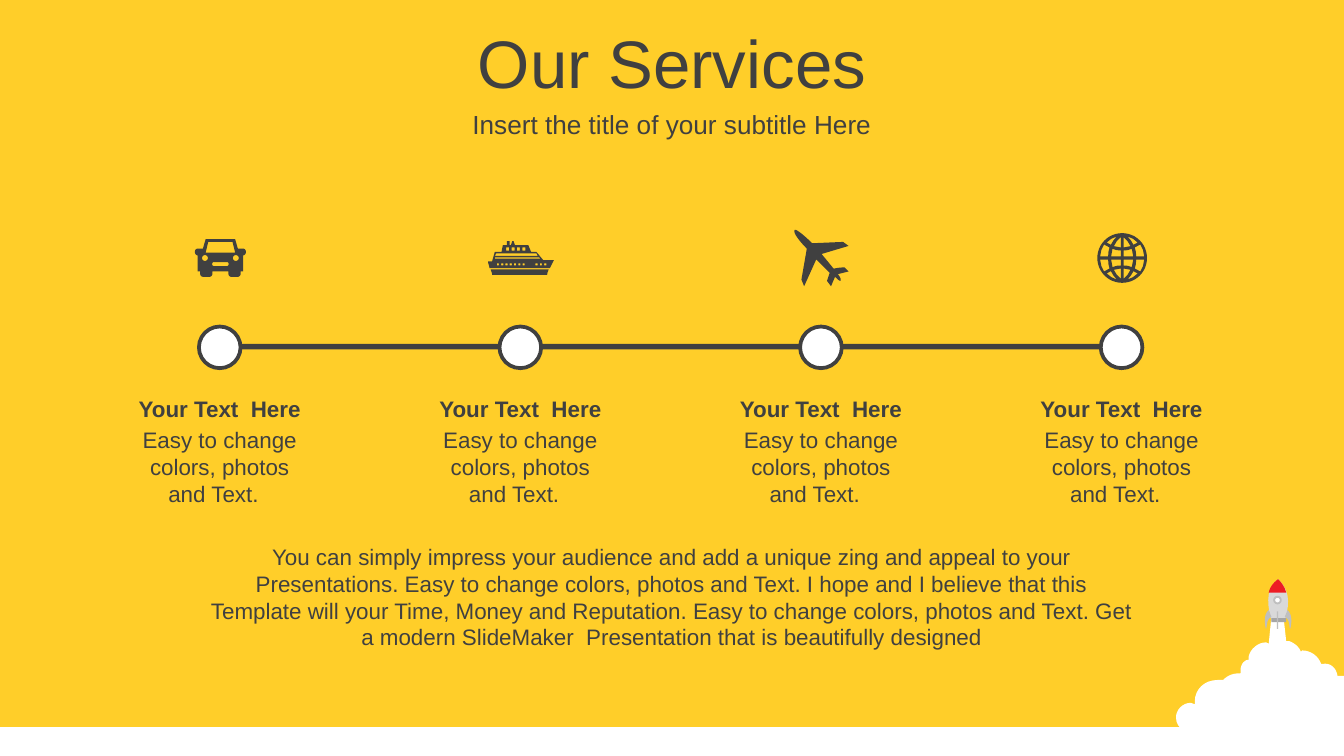
import math

from pptx import Presentation
from pptx.dml.color import RGBColor
from pptx.enum.shapes import MSO_SHAPE
from pptx.enum.text import MSO_ANCHOR, MSO_AUTO_SIZE, PP_ALIGN
from pptx.util import Inches, Pt

OVAL, RECTANGLE = MSO_SHAPE.OVAL, MSO_SHAPE.RECTANGLE
CENTER = PP_ALIGN.CENTER
MIDDLE, TOP = MSO_ANCHOR.MIDDLE, MSO_ANCHOR.TOP
NO_AUTOFIT = MSO_AUTO_SIZE.NONE

YELLOW = RGBColor(0xFF, 0xCE, 0x29)
DARK = RGBColor(0x40, 0x40, 0x40)
WHITE = RGBColor(0xFF, 0xFF, 0xFF)
LIGHT_GRAY = RGBColor(0xD9, 0xD9, 0xD9)
SILVER = RGBColor(0xBF, 0xBF, 0xBF)
GRAY = RGBColor(0xA6, 0xA6, 0xA6)
RED = RGBColor(0xED, 0x1C, 0x24)

SLIDE_WIDTH = 10
SLIDE_HEIGHT = SLIDE_WIDTH * 9 / 16
UNIT = 0.01
CURVE_STEPS = 8

CLOUD = [
    (71, 0), (80, 0), (82, 18), (84, 18), (87, 19, 90, 21, 92, 24), (93, 26), (94, 25),
    (100, 25, 106, 29, 108, 35), (109, 35), (115, 34, 119, 38, 120, 43), (120, 44),
    (125, 44), (125, 101), (119, 101, 115, 100, 112, 98), (108, 100, 100, 102, 96, 96),
    (92, 100, 82, 102, 76, 96), (64, 105, 46, 104, 38, 92),
    (30, 96, 19, 93, 18, 86), (18, 84), (17, 85), (9, 89, 0, 83, 0, 75),
    (0, 69, 5, 64, 11, 64), (14, 65), (14, 63), (14, 54, 21, 47, 31, 47), (35, 47),
    (39, 43, 43, 42, 48, 42), (48, 40), (48, 36, 50, 33, 53, 32), (54, 32), (54, 30),
    (55, 24, 61, 19, 67, 19), (69, 20),
]
FUSELAGE = [(5, 31), (3, 22, -1, 9, 10, 0), (21, 10, 17, 23, 15, 31)]
NOSE = [(10, 0), (13, 3, 15, 6, 16, 10), (3, 10), (4, 6, 6, 3, 10, 0)]
FIN = [(3, 23), (5, 28), (1, 30, 2, 35, 1, 37), (0, 34, -1, 26, 3, 23)]


def rectangle(left, top, width, height):
    right, bottom = left + width, top + height
    return [(left, top), (right, top), (right, bottom), (left, bottom)]


def circle(center_x, center_y, radius, steps=48):
    angles = [2 * math.pi * step / steps for step in range(steps)]
    return [(center_x + radius * math.cos(a), center_y + radius * math.sin(a)) for a in angles]


def flip(contour, size, axis):
    return [tuple(size - value if index % 2 == axis else value
                  for index, value in enumerate(segment)) for segment in contour]


def car_icon():
    body = [
        (8, 0), (30, 0), (32, 7), (36, 7), (37, 7, 38, 8, 38, 9.5), (38, 11, 37, 12, 36, 12),
        (36, 24), (34, 24), (34, 26), (34, 27, 33, 28, 32, 28), (27, 28),
        (26, 28, 25, 27, 25, 26), (25, 24), (13, 24), (13, 26), (13, 27, 12, 28, 11, 28),
        (6, 28), (5, 28, 4, 27, 4, 26), (4, 24), (2, 24), (2, 12),
        (1, 12, 0, 11, 0, 9.5), (0, 8, 1, 7, 2, 7), (6, 7),
    ]
    windshield = [(10, 2), (28, 2), (30, 10), (8, 10)]
    grille = [(14, 17), (24, 17), (25.5, 17, 25.5, 20, 24, 20), (14, 20), (12.5, 20, 12.5, 17, 14, 17)]
    return 38, 28, [body, windshield, grille, circle(7.5, 14, 2.2), circle(30.5, 14, 2.2)]


def ship_icon():
    deck = [
        (18, 0), (19, 0), (20, 3), (30, 3), (32, 8), (36, 8), (41, 14), (49, 14),
        (48, 16, 47, 18, 46, 20), (1, 20), (1, 18, 0, 17, 0, 15), (3, 15), (5, 8), (10, 8),
        (11, 3), (14, 3), (14, 0), (16, 0), (16, 3), (17, 3),
    ]
    keel = [(2, 21), (45, 21), (45, 22, 44, 23, 44, 25), (3, 25), (3, 23, 2, 22, 2, 21)]
    stripes = [[(5, 12), (38, 12), (39, 13), (5, 13)], [(6, 9), (36, 9), (37, 11), (5, 11)]]
    cabins = [rectangle(13.5 + 4 * index, 4.5, 2.2, 2.5) for index in range(4)]
    portholes = [rectangle(6.5 + 3.2 * index, 16.5, 1.6, 1.5) for index in (0, 1, 2, 3, 4, 5, 6, 9, 10, 11)]
    return 49, 25, [deck, keel, *stripes, *cabins, *portholes]


def plane_icon():
    outline = [
        (41, 31), (33, 33), (34, 34, 36, 37, 35, 38), (34, 38, 32, 36, 31, 35), (28, 42),
        (25, 38), (27, 32), (17, 22), (8, 42), (6, 37), (10, 14), (6, 10, -1, 2, 1, 0),
        (2, -1, 10, 6, 14, 10), (37, 9), (41, 12), (21, 18), (30, 29), (33, 28, 38, 28, 38, 28),
    ]
    return 42, 42, [outline]


def globe_icon():
    size, middle = 37, 18.5
    quadrant = [
        [(19.5, 19.7), (26.7, 19.7), (25.7, 25.3), (22.5, 24.3), (19.5, 24.1)],
        [(19.5, 26.3), (24.7, 27.3), (22.5, 31), (19.5, 34)],
        [(28.9, 19.7), (34.9, 19.7), (34, 24.5), (32, 28.5), (30, 27.5), (27.9, 26.3), (28.7, 23)],
        [(26.9, 28.3), (30, 30), (26.5, 32.8), (22.5, 34.5), (25, 31.5)],
    ]
    half = quadrant + [flip(cell, size, 0) for cell in quadrant]
    cells = half + [flip(cell, size, 1) for cell in half]
    return size, size, [circle(middle, middle, middle), *cells]


def trace(contour, left, top):
    points = [contour[0]]
    for segment in contour[1:]:
        if len(segment) == 2:
            points.append(segment)
            continue
        controls = [points[-1], segment[:2], segment[2:4], segment[4:]]
        for step in range(1, CURVE_STEPS + 1):
            t = step / CURVE_STEPS
            weights = ((1 - t) ** 3, 3 * t * (1 - t) ** 2, 3 * t * t * (1 - t), t ** 3)
            points.append(tuple(sum(weight * control[axis] for weight, control in zip(weights, controls))
                                for axis in (0, 1)))
    return [(Inches(left + x * UNIT), Inches(top + y * UNIT)) for x, y in points]


def paint(shape, color, line_color=None, line_width=1):
    shape.shadow.inherit = False
    shape.fill.solid()
    shape.fill.fore_color.rgb = color
    if line_color is None:
        shape.line.fill.background()
    else:
        shape.line.color.rgb = line_color
        shape.line.width = Pt(line_width)


def add_outline(slide, contours, left, top, color):
    first, *others = [trace(contour, left, top) for contour in contours]
    builder = slide.shapes.build_freeform(*first[0], scale=1.0)
    builder.add_line_segments(first[1:], close=True)
    for points in others:
        builder.move_to(*points[0])
        builder.add_line_segments(points[1:], close=True)
    paint(builder.convert_to_shape(), color)


def add_preset(slide, kind, left, top, width, height, color, line_color=None, line_width=1):
    shape = slide.shapes.add_shape(kind, Inches(left), Inches(top), Inches(width), Inches(height))
    paint(shape, color, line_color, line_width)


def write_text(shape, text, size, bold=False, anchor=TOP):
    frame = shape.text_frame
    frame.word_wrap = True
    frame.auto_size = NO_AUTOFIT
    frame.vertical_anchor = anchor
    paragraph = frame.paragraphs[0]
    paragraph.alignment = CENTER
    run = paragraph.add_run()
    run.text = text
    run.font.name = "Arial"
    run.font.size = Pt(size)
    run.font.bold = bold
    run.font.color.rgb = DARK


def add_text(slide, text, left, top, width, height, bold=False):
    box = slide.shapes.add_textbox(Inches(left), Inches(top), Inches(width), Inches(height))
    write_text(box, text, 12, bold)


def fill_heading(placeholder, text, top, height, size):
    placeholder.left, placeholder.top = Inches(0), Inches(top)
    placeholder.width, placeholder.height = Inches(SLIDE_WIDTH), Inches(height)
    write_text(placeholder, text, size, anchor=MIDDLE)


def add_rocket_scene(slide, left, top):
    add_outline(slide, [CLOUD], left, top + 0.28, WHITE)
    rocket = left + 0.66
    add_outline(slide, [FUSELAGE], rocket, top, LIGHT_GRAY)
    add_preset(slide, RECTANGLE, rocket + 0.05, top + 0.29, 0.11, 0.03, GRAY)
    add_outline(slide, [NOSE], rocket, top, RED)
    add_preset(slide, OVAL, rocket + 0.07, top + 0.13, 0.05, 0.05, WHITE, SILVER)
    add_preset(slide, RECTANGLE, rocket + 0.09, top + 0.24, 0.01, 0.13, SILVER)
    for fin in (FIN, flip(FIN, 20, 0)):
        add_outline(slide, [fin], rocket, top, SILVER)


def add_service(slide, icon, center, top):
    width, height, contours = icon
    add_outline(slide, contours, center - width * UNIT / 2, top + 0.21 - height * UNIT / 2, DARK)
    add_preset(slide, OVAL, center - 0.16, top + 0.72, 0.31, 0.31, WHITE, DARK, 2)
    add_text(slide, "Easy to change colors, photos and Text.  ", center - 0.73, top + 1.41, 1.45, 0.71)
    add_text(slide, "Your Text  Here", center - 0.73, top + 1.18, 1.45, 0.3, bold=True)


def add_timeline(slide, left, top, width):
    icons = [car_icon(), ship_icon(), plane_icon(), globe_icon()]
    pitch = width / (len(icons) - 1)
    add_preset(slide, RECTANGLE, left, top + 0.85, width, 0.04, DARK)
    for index, icon in enumerate(icons):
        add_service(slide, icon, left + index * pitch, top)


def main():
    presentation = Presentation()
    presentation.slide_width, presentation.slide_height = Inches(SLIDE_WIDTH), Inches(SLIDE_HEIGHT)
    slide = presentation.slides.add_slide(presentation.slide_layouts[0])
    slide.background.fill.solid()
    slide.background.fill.fore_color.rgb = YELLOW
    add_preset(slide, RECTANGLE, 0, 5.41, SLIDE_WIDTH, 0.24, WHITE)
    add_rocket_scene(slide, 8.75, 4.31)
    fill_heading(slide.shapes.title, "Our Services", 0.14, 0.63, 36)
    fill_heading(slide.placeholders[1], "Insert the title of your subtitle Here", 0.77, 0.31, 14)
    add_timeline(slide, 1.64, 1.71, 6.71)
    add_text(slide, "You can simply impress your audience and add a unique zing and appeal to your "
             "Presentations. Easy to change colors, photos and Text. I hope and I believe that this "
             "Template will your Time, Money and Reputation. Easy to change colors, photos and Text. "
             "Get a modern SlideMaker  Presentation that is beautifully designed", 1.46, 3.99, 7.08, 0.91)
    presentation.save("out.pptx")


if __name__ == "__main__":
    main()
